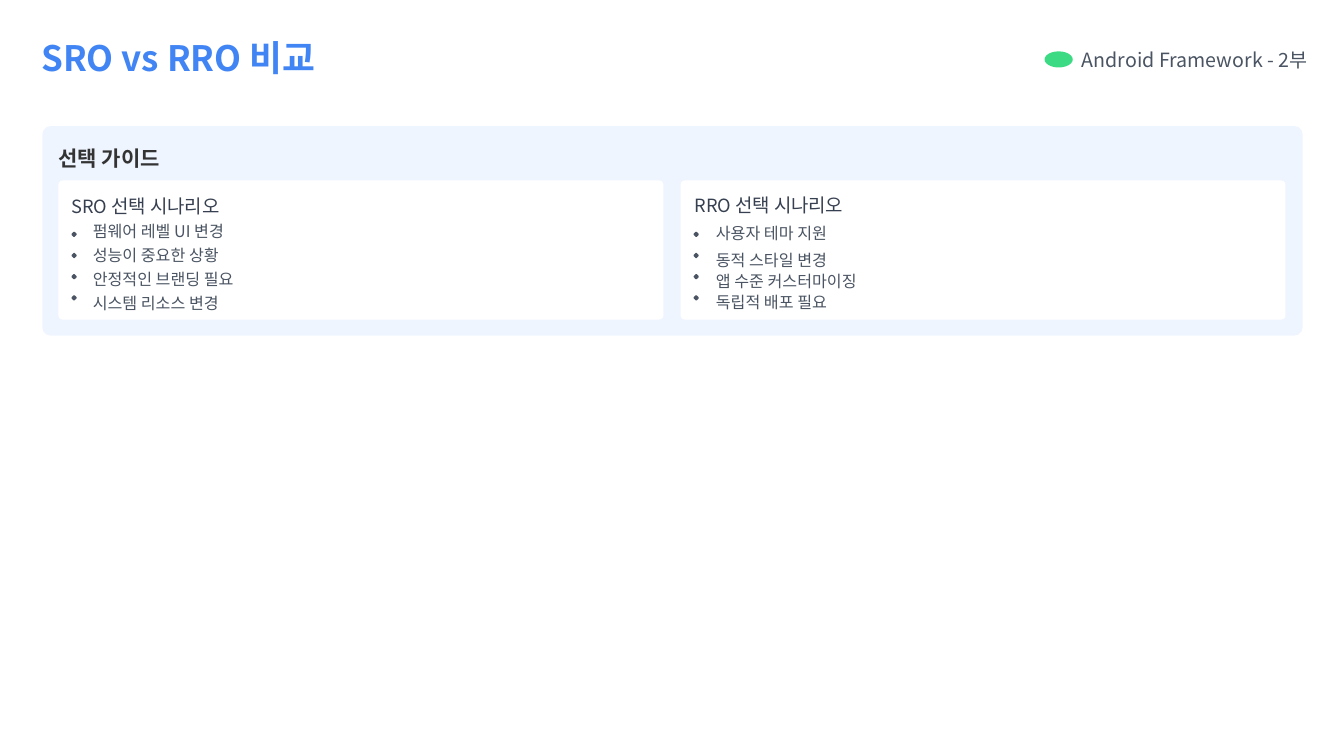
from pptx import Presentation
from pptx.dml.color import RGBColor
from pptx.enum.shapes import MSO_SHAPE
from pptx.oxml.ns import qn
from pptx.util import Inches, Pt
from lxml import etree

FONT = "Noto Sans CJK KR"
HEX = {"blue": "4185F4", "green": "3CDB83", "gray": "4A5462", "navy": "374050",
       "dark": "333333", "pale": "EFF5FF", "white": "FFFFFF"}

deck = Presentation()
deck.slide_width, deck.slide_height = Inches(13.33), Inches(7.5)
slide = deck.slides.add_slide(deck.slide_layouts[6])


def paint(form, color):
    form.shadow.inherit = False
    form.fill.solid()
    form.fill.fore_color.rgb = RGBColor.from_string(HEX[color])
    form.line.fill.background()
    return form


def add_text(x, y, w, h, top, lines):
    """Each line: runs of (text, size), color, bold, indent, space before, line spacing."""
    frame = slide.shapes.add_textbox(Inches(x), Inches(y), Inches(w), Inches(h)).text_frame
    frame.word_wrap = True
    frame.margin_left = frame.margin_right = frame.margin_bottom = 0
    frame.margin_top = Inches(top)
    for i, (runs, color, bold, indent, before, pitch) in enumerate(lines):
        para = frame.add_paragraph() if i else frame.paragraphs[0]
        props = para._p.get_or_add_pPr()
        props.set("marL", str(Inches(indent)))
        para.space_before = Pt(before)
        para.line_spacing = pitch
        para.font.bold = bold
        para.font.name = FONT
        para.font.color.rgb = RGBColor.from_string(HEX[color])
        etree.SubElement(props.find(qn("a:defRPr")), qn("a:ea")).set("typeface", FONT)
        for text, size in runs:
            run = para.add_run()
            run.text = text
            run.font.size = Pt(size)


# Header
add_text(0.4, 0.35, 5.95, 0.44, 0.01,
         [([("SRO vs RRO ", 25), ("비교", 25.5)], "blue", True, 0.01, 0, 1)])
paint(slide.shapes.add_shape(MSO_SHAPE.OVAL, Inches(10.36), Inches(0.51),
                             Inches(0.28), Inches(0.16)), "green")
add_text(10.72, 0.46, 2.45, 0.25, 0.02,
         [([("Android Framework - 2부", 14)], "gray", False, 0.01, 0, 1)])

# Guide panel
panel = paint(slide.shapes.add_shape(MSO_SHAPE.ROUNDED_RECTANGLE, Inches(0.42), Inches(1.25),
                                     Inches(12.5), Inches(2.08)), "pale")
panel.adjustments[0] = 0.04
add_text(0.57, 1.42, 1.43, 0.27, 0.02,
         [([("선택 가이드", 15)], "dark", True, 0.01, 0, 1)])

# Scenario cards: left, text box, name, then items with space before and line spacing
cards = [
    (0.58, (0.7, 1.85, 2.22, 1.25, 0.08), "SRO ", 1,
     [("펌웨어 레벨 UI 변경", 2.7, 1), ("성능이 중요한 상황", 3.4, 1),
      ("안정적인 브랜딩 필요", 3.4, 1), ("시스템 리소스 변경", 3.4, 1)]),
    (6.75, (6.88, 1.84, 3.78, 1.26, 0.04), "RRO ", 1.18,
     [("사용자 테마 지원", 2.8, 1.18), ("동적 스타일 변경", 2.8, 1.18),
      ("앱 수준 커스터마이징", 0, 1.09), ("독립적 배포 필요", 0, 1.09)]),
]
# Corners of one dot, from its top left
dot = [(0.02, 0), (0.03, 0), (0.05, 0.02), (0.05, 0.03),
       (0.03, 0.05), (0.02, 0.05), (0, 0.03), (0, 0.02)]
for left, box, name, pitch, items in cards:
    card = paint(slide.shapes.add_shape(MSO_SHAPE.ROUNDED_RECTANGLE, Inches(left), Inches(1.79),
                                        Inches(6), Inches(1.38)), "white")
    card.adjustments[0] = 0.03

    # Dots, one outline per item
    pen = None
    for row in range(len(items)):
        ring = [(Inches(left + 0.13 + x), Inches(2.3 + 0.21 * row + y)) for x, y in dot]
        if pen is None:
            pen = slide.shapes.build_freeform(*ring[0])
        else:
            pen.move_to(*ring[0])
        pen.add_line_segments(ring[1:], close=True)
    paint(pen.convert_to_shape(), "gray")

    head = ([(name, 13), ("선택 시나리오", 13.5)], "navy", False, 0.01, 0, pitch)
    add_text(*box, [head] + [([(text, 11.5)], "gray", False, 0.22, before, step)
                             for text, before, step in items])

deck.save("out.pptx")
